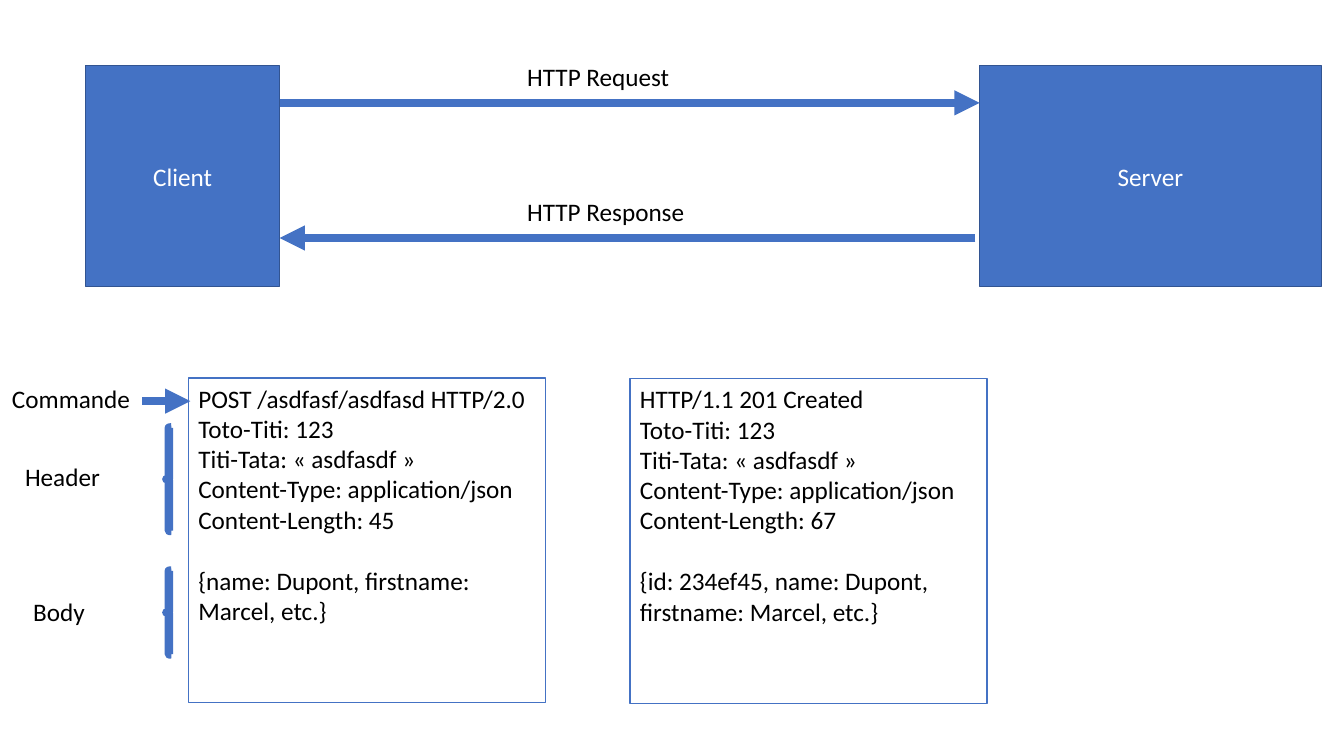
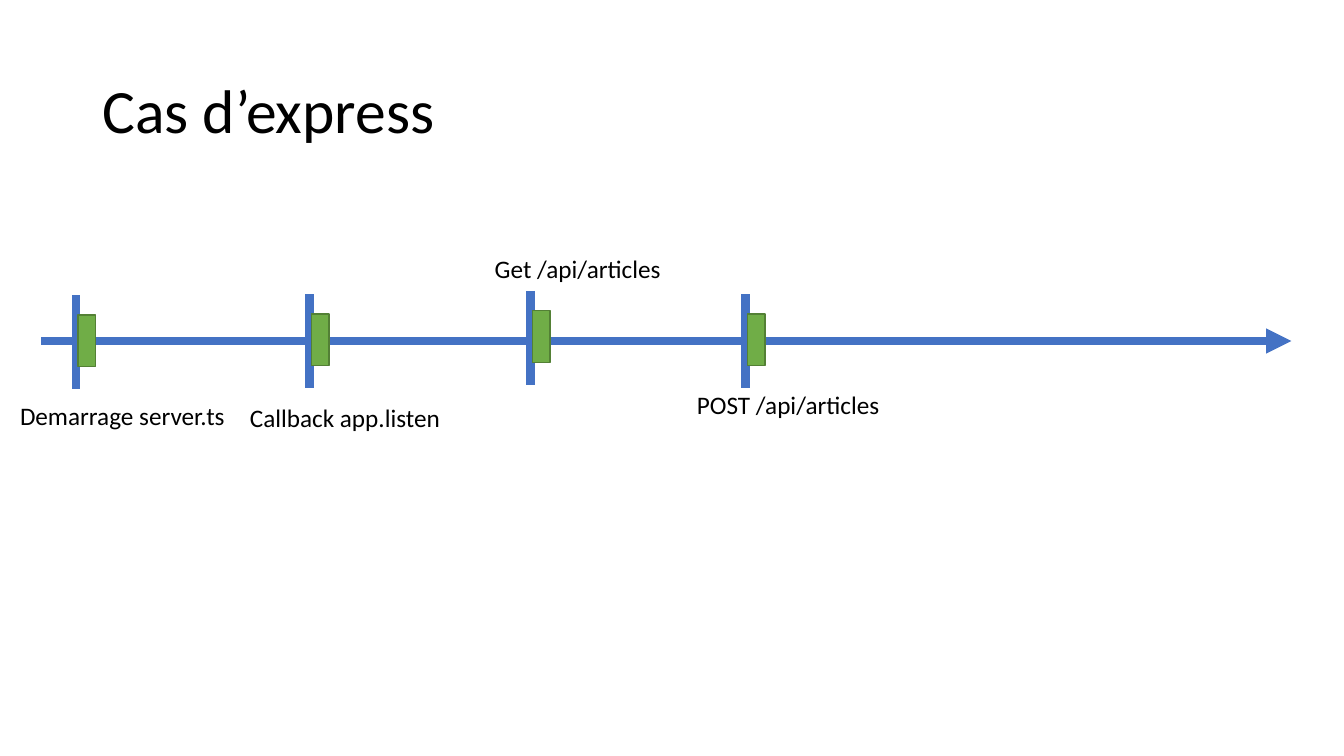
from pptx import Presentation
from pptx.dml.color import RGBColor
from pptx.enum.shapes import MSO_CONNECTOR, MSO_SHAPE
from pptx.enum.text import MSO_ANCHOR, MSO_AUTO_SIZE, PP_ALIGN
from pptx.oxml.ns import qn
from pptx.util import Pt
from lxml.etree import SubElement

BLUE = RGBColor(0x44, 0x72, 0xC4)
DARK_BLUE = RGBColor(0x32, 0x54, 0x91)
GREEN = RGBColor(0x70, 0xAD, 0x47)
DARK_GREEN = RGBColor(0x53, 0x80, 0x35)
BLACK = RGBColor(0x00, 0x00, 0x00)
WHITE = RGBColor(0xFF, 0xFF, 0xFF)

FONT = "Calibri"
TEXT_SIZE = 18
TITLE_SIZE = 44
BLANK_LINE = 22
LABEL_HEIGHT = 29
THICK = 6
TITLE_ONLY, BLANK = 5, 6


def write_text(frame, *lines, size=TEXT_SIZE, color=BLACK, align=PP_ALIGN.LEFT,
               anchor=MSO_ANCHOR.TOP, wrap=True, spacing=None, last_gap=0):
    """Fill a text frame with one formatted paragraph per line."""
    frame.word_wrap = wrap
    frame.auto_size = MSO_AUTO_SIZE.NONE if wrap else MSO_AUTO_SIZE.SHAPE_TO_FIT_TEXT
    frame.vertical_anchor = anchor
    for index, line in enumerate(lines):
        para = frame.add_paragraph() if index else frame.paragraphs[0]
        para.alignment = align
        if spacing:
            para.line_spacing = spacing
        span = para.add_run()
        span.text = line
        span.font.name = FONT
        span.font.size = Pt(size)
        span.font.color.rgb = color
    if last_gap:
        para.space_before = Pt(last_gap)


def add_shape(page, box, fill, line, kind=MSO_SHAPE.RECTANGLE, weight=1):
    """Add a flat preset shape in the box (left, top, width, height)."""
    shape = page.shapes.add_shape(kind, *map(Pt, box))
    shape.shadow.inherit = False
    if fill is None:
        shape.fill.background()
    else:
        shape.fill.solid()
        shape.fill.fore_color.rgb = fill
    shape.line.color.rgb = line
    shape.line.width = Pt(weight)
    return shape


def add_label(page, text, left, top, width):
    """Add a one-line label."""
    label = page.shapes.add_textbox(Pt(left), Pt(top), Pt(width), Pt(LABEL_HEIGHT))
    write_text(label.text_frame, text, wrap=False)


def add_line(page, start, end, arrow=False):
    """Add a thick blue line between two points, with an optional arrowhead."""
    line = page.shapes.add_connector(MSO_CONNECTOR.STRAIGHT, *map(Pt, start + end))
    line.line.color.rgb = BLUE
    line.line.width = Pt(THICK)
    properties = line.element.spPr
    if arrow:
        SubElement(properties.find(qn("a:ln")), qn("a:tailEnd"), type="triangle")
    SubElement(properties, qn("a:effectLst"))


def add_exchange(page, left, top):
    """Draw client and server with the request and response between them."""
    height, client_width, server_left, server_width = 157.5, 138.5, 638.6, 244
    for name, x, width in (("Client", left, client_width),
                           ("Server", left + server_left, server_width)):
        block = add_shape(page, (x, top, width, height), BLUE, DARK_BLUE)
        write_text(block.text_frame, name, color=WHITE, align=PP_ALIGN.CENTER,
                   anchor=MSO_ANCHOR.MIDDLE)
    near, far = left + client_width, left + server_left
    request, response = top + 26.5, top + 123
    add_line(page, (near, request), (far, request), arrow=True)
    add_line(page, (far - 3, response), (near, response), arrow=True)
    add_label(page, "HTTP Request", 369.5, request - 33, 117.5)
    add_label(page, "HTTP Response", 369.5, response - 33, 128)


def add_message(page, left, top, command, length, body):
    """Draw an HTTP message: command, headers, then body after a gap."""
    panel = add_shape(page, (left, top, 255, 232), WHITE, BLUE)
    write_text(panel.text_frame, command, "Toto-Titi: 123",
               "Titi-Tata: «\u00a0asdfasdf\u00a0»", "Content-Type: application/json",
               f"Content-Length: {length}", body, last_gap=BLANK_LINE)


def add_message_parts(page, top):
    """Name the parts of the message to the left of its panel."""
    add_label(page, "Commande", 1.5, top, 100)
    add_line(page, (101.5, top + 16.5), (136, top + 16.5), arrow=True)
    for name, left, width, label_top, brace_top, height in (
            ("Header", 10.8, 68.5, 56, 35.3, 74),
            ("Body", 16.6, 52, 152.7, 137.5, 60)):
        add_shape(page, (118.8, top + brace_top, 3.6, height), None, BLUE,
                  kind=MSO_SHAPE.LEFT_BRACE, weight=THICK)
        add_label(page, name, left, top + label_top, width)


def add_title(page, text, box):
    """Place and format the title placeholder."""
    title = page.shapes.title
    title.left, title.top, title.width, title.height = map(Pt, box)
    write_text(title.text_frame, text, size=TITLE_SIZE, anchor=MSO_ANCHOR.MIDDLE,
               spacing=0.9)


def add_event(page, x, top):
    """Draw a tick on the timeline with its green work block."""
    add_line(page, (x, top), (x, top + 67))
    add_shape(page, (x + 1.5, top + 14, 12.5, 37), GREEN, DARK_GREEN)


def add_timeline(page, left, axis, width):
    """Draw the time arrow with its events and their labels."""
    add_line(page, (left, axis), (left + width, axis), arrow=True)
    events = (  # name, tick x, tick rise, label left, label drop, label width
        ("Demarrage server.ts", 54.3, 32.7, 7.2, 38.5, 162),
        ("Callback app.listen", 221, 33.4, 171.4, 40.5, 152),
        ("Get /api/articles", 379, 35.8, 346.3, -66.5, 134.6),
        ("POST /api/articles", 532.4, 33.4, 490.7, 31, 146),
    )
    for name, x, rise, label_left, drop, label_width in events:
        add_event(page, x, axis - rise)
        add_label(page, name, label_left, axis + drop, label_width)


def build_http_slide(deck):
    """Build the slide on the HTTP exchange and its messages."""
    page = deck.slides.add_slide(deck.slide_layouts[BLANK])
    add_exchange(page, 61.2, 47)
    message_top = 270
    add_message(page, 134.6, message_top, "POST /asdfasf/asdfasd HTTP/2.0", 45,
                "{name: Dupont, firstname: Marcel, etc.}")
    add_message_parts(page, message_top)
    add_message(page, 450, message_top + 0.5, "HTTP/1.1 201 Created", 67,
                "{id: 234ef45, name: Dupont, firstname: Marcel, etc.}")


def build_express_slide(deck):
    """Build the slide with the express timeline."""
    page = deck.slides.add_slide(deck.slide_layouts[TITLE_ONLY])
    add_title(page, "Cas d’express", (66, 28.75, 828, 104.4))
    add_timeline(page, 29.5, 243.6, 893)


def main():
    """Build and save the deck."""
    deck = Presentation()
    deck.slide_width, deck.slide_height = Pt(960), Pt(540)
    build_http_slide(deck)
    build_express_slide(deck)
    deck.save("out.pptx")


main()
